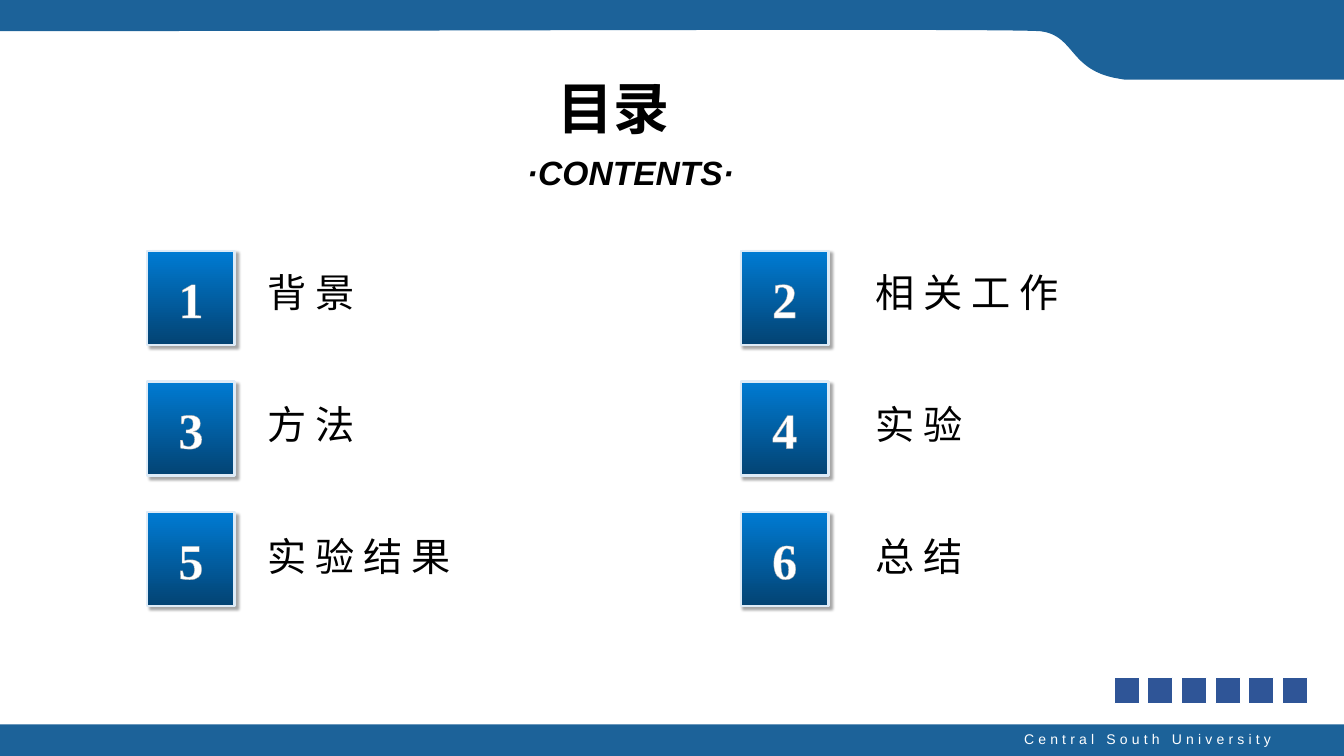
from dataclasses import dataclass

from lxml import etree
from pptx import Presentation
from pptx.dml.color import RGBColor
from pptx.enum.shapes import MSO_SHAPE
from pptx.enum.text import MSO_ANCHOR, MSO_AUTO_SIZE, PP_ALIGN
from pptx.oxml.ns import nsdecls, qn
from pptx.oxml import parse_xml
from pptx.util import Pt

RECT = MSO_SHAPE.RECTANGLE
MIDDLE = MSO_ANCHOR.MIDDLE
GROW, FIXED = MSO_AUTO_SIZE.SHAPE_TO_FIT_TEXT, MSO_AUTO_SIZE.NONE
LEFT, CENTER = PP_ALIGN.LEFT, PP_ALIGN.CENTER
RIGHT, JUSTIFY = PP_ALIGN.RIGHT, PP_ALIGN.JUSTIFY

BLUE = RGBColor(0x1C, 0x62, 0x99)
NAVY = RGBColor(0x2F, 0x55, 0x97)
TILE_TOP = RGBColor(0x00, 0x7B, 0xD3)
TILE_BOTTOM = RGBColor(0x03, 0x43, 0x73)
TILE_EDGE = RGBColor(0xDE, 0xEB, 0xF7)
WHITE = RGBColor(0xFF, 0xFF, 0xFF)
BLACK = RGBColor(0x00, 0x00, 0x00)

SANS, SERIF, CJK = "Arial", "Times New Roman", "Noto Sans CJK SC"
WIDTH, HEIGHT = 960, 540
TILE_X, LABEL_X = (105.1, 529.2), (184.3, 618.5)
TOPICS = ("背 景", "相 关 工 作", "方 法", "实 验", "实 验 结 果", "总 结")
SHADOW = (
    f'<a:outerShdw {nsdecls("a")} blurRad="25400" dist="38100" dir="2700000" '
    'algn="tl" rotWithShape="0"><a:srgbClr val="000000">'
    '<a:alpha val="35000"/></a:srgbClr></a:outerShdw>'
)
OUTLINE = (
    f'<a:ln {nsdecls("a")} w="9525"><a:solidFill>'
    '<a:srgbClr val="A6A6A6"/></a:solidFill></a:ln>'
)

Point = tuple[float, float]


@dataclass
class Label:
    text: str
    x: float
    y: float
    w: float
    h: float
    size: float
    font: str = SANS
    color: RGBColor = BLACK
    align: PP_ALIGN = LEFT
    bold: bool = False
    italic: bool = False
    wrap: bool = True
    grow: bool = True
    spacing: int = 0


def style_run(r, font: str, size: float, color: RGBColor, bold: bool, italic: bool = False) -> None:
    r.font.name, r.font.size = font, Pt(size)
    r.font.bold, r.font.italic = bold, italic
    r.font.color.rgb = color
    etree.SubElement(r.font._element, qn("a:ea")).set("typeface", CJK)


def add_label(s, label: Label) -> None:
    sp = s.shapes.add_textbox(Pt(label.x), Pt(label.y), Pt(label.w), Pt(label.h))
    tf = sp.text_frame
    tf.word_wrap = label.wrap
    tf.auto_size = GROW if label.grow else FIXED
    tf.text = label.text
    p = tf.paragraphs[0]
    p.alignment = label.align
    r = p.runs[0]
    style_run(r, label.font, label.size, label.color, label.bold, label.italic)
    if label.spacing:
        r.font._element.set("spc", str(label.spacing))


def add_rect(s, x: float, y: float, w: float, h: float, color: RGBColor,
             edge: RGBColor | None = None, edge_width: float = 0.75):
    sp = s.shapes.add_shape(RECT, Pt(x), Pt(y), Pt(w), Pt(h))
    sp.shadow.inherit = False
    sp.fill.solid()
    sp.fill.fore_color.rgb = color
    if edge is None:
        sp.line.fill.background()
    else:
        sp.line.color.rgb = edge
        sp.line.width = Pt(edge_width)
    return sp


def add_tile(s, number: int, x: float, y: float) -> None:
    sp = add_rect(s, x, y, 62.6, 67, TILE_TOP, TILE_EDGE, 1.75)
    sp.fill.gradient()
    sp.fill.gradient_angle = 270
    for stop, position, color in zip(sp.fill.gradient_stops, (0, 1), (TILE_TOP, TILE_BOTTOM)):
        stop.position, stop.color.rgb = position, color
    sp._element.spPr.find(qn("a:effectLst")).append(parse_xml(SHADOW))
    tf = sp.text_frame
    tf.word_wrap, tf.vertical_anchor = False, MIDDLE
    tf.text = str(number)
    p = tf.paragraphs[0]
    p.alignment = CENTER
    r = p.runs[0]
    style_run(r, SERIF, 36, WHITE, True)
    r.font._element.insert(0, parse_xml(OUTLINE))


def curve(a: Point, b: Point, c: Point, d: Point, steps: int = 32) -> list[Point]:
    points = []
    for i in range(1, steps + 1):
        t = i / steps
        weights = ((1 - t) ** 3, 3 * t * (1 - t) ** 2, 3 * t * t * (1 - t), t ** 3)
        x, y = (sum(k * v for k, v in zip(weights, axis)) for axis in zip(a, b, c, d))
        points.append((x, y))
    return points


def add_banner(s) -> None:
    foot, crest = (799.2, 56.2), (743, 22.3)
    outline = [(WIDTH, 0), (WIDTH, 56.9), (803.5, 56.9), foot]
    outline += curve(foot, (763.2, 50.4), (768.2, 25.2), crest)
    outline += curve(crest, (717.8, 20.2), (247.7, 22.3), (0, 22.3))
    builder = s.shapes.build_freeform(0, 0)
    builder.add_line_segments([(Pt(x), Pt(y)) for x, y in outline], close=True)
    sp = builder.convert_to_shape()
    sp.shadow.inherit = False
    sp.fill.solid()
    sp.fill.fore_color.rgb = BLUE
    sp.line.fill.background()


def main() -> None:
    """Build the contents slide and save it."""
    prs = Presentation()
    prs.slide_width, prs.slide_height = Pt(WIDTH), Pt(HEIGHT)
    s = prs.slides.add_slide(prs.slide_layouts[6])
    add_banner(s)
    add_rect(s, 0, 517.5, WIDTH, 22.5, BLUE)
    add_label(s, Label("Central South University", 719.3, 518.4, 195.8, 19.4, 10,
                       color=WHITE, align=RIGHT, wrap=False, spacing=300))
    add_label(s, Label("目录", 391, 49, 118.8, 55.4, 40, align=JUSTIFY, bold=True))
    add_label(s, Label("·CONTENTS·", 344.2, 105.1, 212.4, 36, 24,
                       align=CENTER, bold=True, italic=True))
    for i, topic in enumerate(TOPICS):
        row, col = divmod(i, 2)
        add_tile(s, i + 1, TILE_X[col], 179.3 + 93.3 * row)
        add_label(s, Label(topic, LABEL_X[col], 187.9 + 94.3 * row, 195.8, 53.3, 28,
                           font=CJK, grow=False))
    for i in range(len(TOPICS)):
        add_rect(s, 795.8 + 24.05 * i, 483.8, 18, 18.7, NAVY, WHITE)
    prs.save("out.pptx")


if __name__ == "__main__":
    main()
